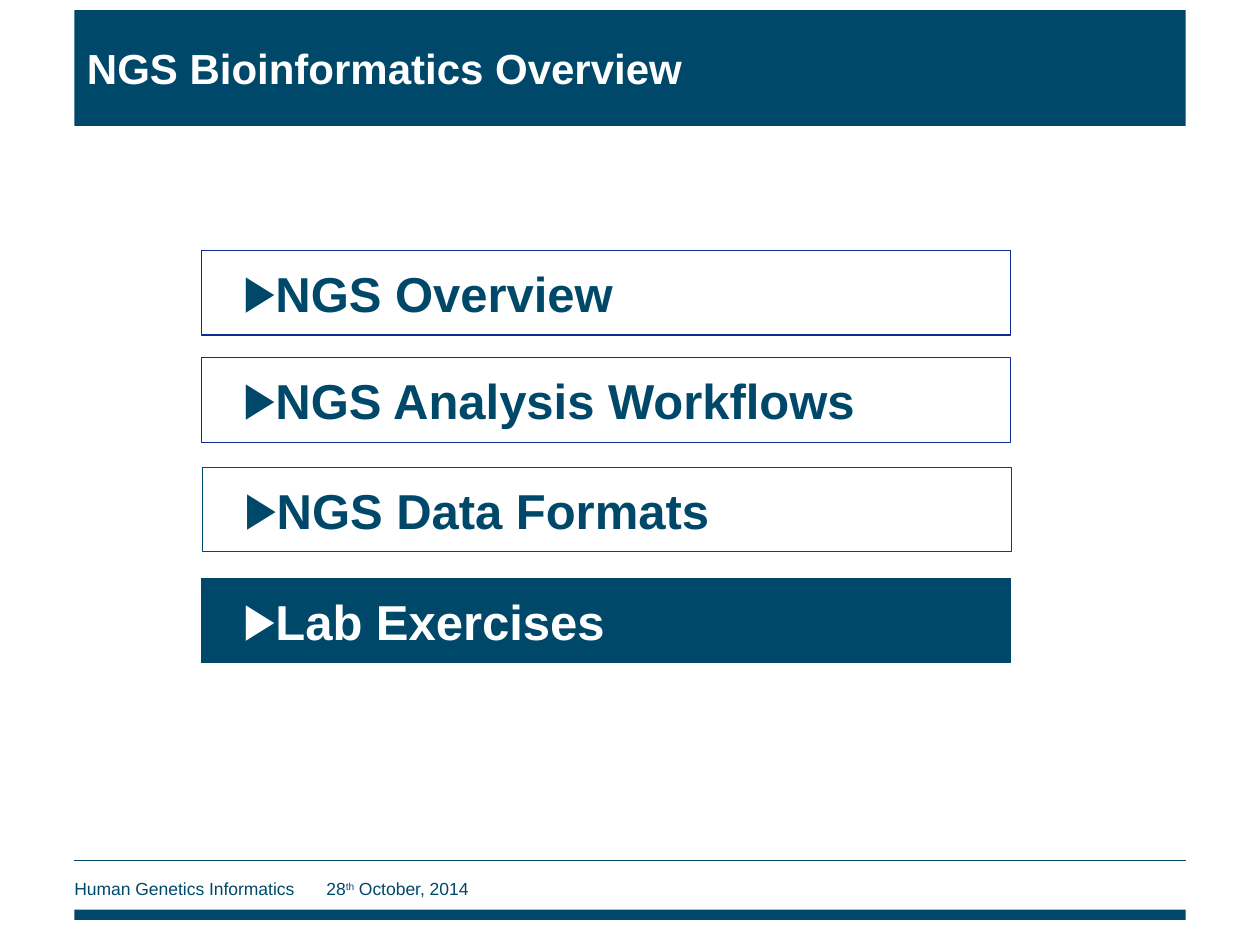
from lxml import etree
from pptx import Presentation
from pptx.dml.color import RGBColor
from pptx.enum.shapes import MSO_CONNECTOR as Connector, MSO_SHAPE as Shape
from pptx.enum.text import MSO_ANCHOR as Anchor, MSO_AUTO_SIZE as AutoSize, PP_ALIGN as Align
from pptx.oxml.ns import qn
from pptx.util import Inches, Pt

TEAL, BLUE, WHITE = "004869", "0D2B92", "FFFFFF"
LEFT, WIDTH = 0.59, 8.82


def color(hex_value):
    return RGBColor.from_string(hex_value)


class AgendaPage:
    font = "Arial"
    line_width = Pt(0.75)

    def __init__(self, deck):
        self.page = deck.slides.add_slide(deck.slide_layouts[5])

    def frame(self, shape, left_inset=0.1):
        frame = shape.text_frame
        frame.word_wrap = True
        frame.auto_size = AutoSize.NONE
        frame.vertical_anchor = Anchor.MIDDLE
        frame.margin_left, frame.margin_right = Inches(left_inset), Inches(0.1)
        frame.margin_top = frame.margin_bottom = Inches(0.05)
        para = frame.paragraphs[0]
        para.alignment = Align.LEFT
        return para

    def span(self, para, text, size, ink, bold=False, baseline=0):
        run = para.add_run()
        run.text = text
        font = run.font
        font.name, font.size, font.bold = self.font, Pt(size), bold
        font.color.rgb = color(ink)
        if baseline:
            run._r.get_or_add_rPr().set("baseline", str(baseline * 1000))

    def title(self, text, left, top, width, height):
        title = self.page.shapes.title
        title.left, title.top = Inches(left), Inches(top)
        title.width, title.height = Inches(width), Inches(height)
        title.fill.solid()
        title.fill.fore_color.rgb = color(TEAL)
        self.span(self.frame(title), text, 24, WHITE, bold=True)

    def bar(self, left, top, width, height, fill, border=None):
        bar = self.page.shapes.add_shape(
            Shape.RECTANGLE, Inches(left), Inches(top), Inches(width), Inches(height))
        bar.shadow.inherit = False
        bar.fill.solid()
        bar.fill.fore_color.rgb = color(fill)
        if border:
            bar.line.color.rgb = color(border)
            bar.line.width = self.line_width
        else:
            bar.line.fill.background()
        return bar

    def rule(self, left, top, width):
        rule = self.page.shapes.add_connector(
            Connector.STRAIGHT, Inches(left), Inches(top), Inches(left + width), Inches(top))
        rule.line.color.rgb = color(TEAL)
        rule.line.width = self.line_width
        etree.SubElement(rule._element.spPr, qn("a:effectLst"))

    def agenda_item(self, text, left, top, fill, border, ink):
        item = self.bar(left, top, 6.42, 0.67, fill, border)
        para = self.frame(item, left_inset=0.33)
        props = para._p.get_or_add_pPr()
        props.set("marL", "0")
        props.set("indent", "0")
        bullet_color = etree.SubElement(props, qn("a:buClr"))
        etree.SubElement(bullet_color, qn("a:srgbClr")).set("val", ink)
        etree.SubElement(props, qn("a:buFont")).set("typeface", self.font)
        etree.SubElement(props, qn("a:buChar")).set("char", "▶")
        self.span(para, text, 28, ink, bold=True)

    def footer(self, spans, left, top, width, height):
        box = self.page.shapes.add_textbox(
            Inches(left), Inches(top), Inches(width), Inches(height))
        para = self.frame(box, left_inset=0)
        for text, baseline in spans:
            self.span(para, text, 10, TEAL, baseline=baseline)


def main():
    deck = Presentation()
    deck.slide_width, deck.slide_height = Inches(10), Inches(7.5)
    page = AgendaPage(deck)

    # Footer band
    page.bar(LEFT, 7.22, WIDTH, 0.08, TEAL)
    page.rule(LEFT, 6.83, WIDTH)
    page.footer([("Human Genetics Informatics\t28", 0), ("th", 30), (" October, 2014", 0)],
                LEFT, 6.92, 6.71, 0.27)

    # Title band
    page.title("NGS Bioinformatics Overview", LEFT, 0.08, WIDTH, 0.92)

    # Agenda, with the current section filled
    agenda = [
        ("NGS Overview", 1.6, 1.99, WHITE, BLUE, TEAL),
        ("NGS Analysis Workflows", 1.6, 2.84, WHITE, BLUE, TEAL),
        ("NGS Data Formats", 1.61, 3.71, WHITE, TEAL, TEAL),
        ("Lab Exercises", 1.6, 4.59, TEAL, TEAL, WHITE),
    ]
    for item in agenda:
        page.agenda_item(*item)

    deck.save("out.pptx")


if __name__ == "__main__":
    main()
